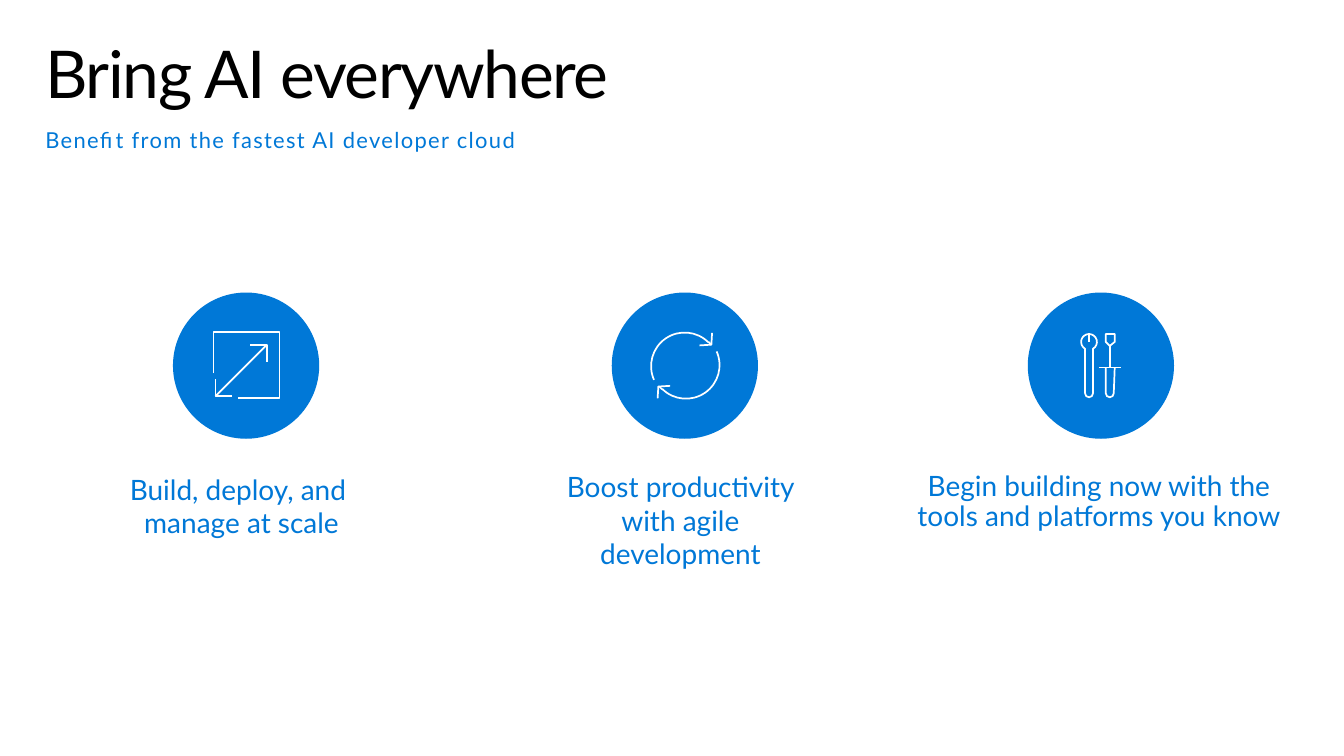
import math
import pptx
import pptx.dml.color
import pptx.enum.shapes
import pptx.enum.text
import pptx.oxml.ns
import pptx.util
from lxml import etree

Inches = pptx.util.Inches
Pt = pptx.util.Pt
RGBColor = pptx.dml.color.RGBColor
ALIGN = pptx.enum.text.PP_ALIGN
FIT = pptx.enum.text.MSO_AUTO_SIZE
qn = pptx.oxml.ns.qn

BLUE = RGBColor(0x00, 0x78, 0xD7)
BLACK = RGBColor(0x00, 0x00, 0x00)
WHITE = RGBColor(0xFF, 0xFF, 0xFF)
FONT = "Lato"
DISC = 1.48
DISC_TOP = 2.96
STROKE = Pt(1.25)


def add_text(slide, place, pads, lines, size, color, align=ALIGN.LEFT,
             leading=1.0, track=0, fit=FIT.SHAPE_TO_FIT_TEXT):
    frame = slide.shapes.add_textbox(*map(Inches, place)).text_frame
    frame.word_wrap = True
    frame.auto_size = fit
    (frame.margin_left, frame.margin_top,
     frame.margin_right, frame.margin_bottom) = map(Inches, pads)
    para = frame.paragraphs[0]
    para.alignment = align
    para.line_spacing = leading
    for index, line in enumerate(lines):
        if index:
            para.add_line_break()
        run = para.add_run()
        run.text = line
        run.font.name = FONT
        run.font.size = Pt(size)
        run.font.color.rgb = color
        if track:
            run._r.get_or_add_rPr().set("spc", str(track * 100))


def add_disc(slide, left):
    group = slide.shapes.add_group_shape()
    disc = group.shapes.add_shape(
        pptx.enum.shapes.MSO_SHAPE.OVAL,
        *map(Inches, (left, DISC_TOP, DISC, DISC)))
    disc.shadow.inherit = False
    disc.fill.solid()
    disc.fill.fore_color.rgb = BLUE
    disc.line.fill.background()
    return group


def bend(shape, steps):
    nodes = iter(list(shape._element.iter(qn("a:lnTo"))))
    for step in steps:
        node = next(nodes)
        if len(step) == 3:
            curve = etree.Element(qn("a:cubicBezTo"))
            node.addprevious(curve)
            for part in (node, next(nodes), next(nodes)):
                curve.append(part[0])
                part.getparent().remove(part)


def add_path(group, *strokes, turn=0):
    pen = None
    for stroke in strokes:
        dots = [(Inches(x), Inches(y)) for step in stroke for x, y in step]
        if pen:
            pen.move_to(*dots[0])
        else:
            pen = group.shapes.build_freeform(*dots[0])
        pen.add_line_segments(dots[1:], close=False)
    shape = pen.convert_to_shape()
    bend(shape, [step for stroke in strokes for step in stroke[1:]])
    shape.shadow.inherit = False
    shape.fill.background()
    shape.line.color.rgb = WHITE
    shape.line.width = STROKE
    shape.rotation = turn


def add_line(group, start, end):
    line = group.shapes.add_connector(
        pptx.enum.shapes.MSO_CONNECTOR.STRAIGHT,
        *map(Inches, (*start, *end)))
    line.line.color.rgb = WHITE
    line.line.width = STROKE
    etree.SubElement(line._element.spPr, qn("a:effectLst"))


def poly(*dots):
    return [(dot,) for dot in dots]


def arc(x, y, radius, start, end, count=2):
    sweep = math.radians(end - start) / count
    pull = 4 / 3 * math.tan(sweep / 4)

    def spot(angle, shift):
        return (x + radius * (math.cos(angle) - shift * math.sin(angle)),
                y + radius * (math.sin(angle) + shift * math.cos(angle)))

    first = math.radians(start)
    steps = [(spot(first, 0),)]
    for index in range(count):
        a = first + index * sweep
        b = a + sweep
        steps.append((spot(a, pull), spot(b, -pull), spot(b, 0)))
    return steps


def draw_scale(slide):
    group = add_disc(slide, 1.75)
    add_path(group, poly((2.16, 3.78), (2.16, 3.36), (2.83, 3.36),
                         (2.83, 4.03), (2.41, 4.03)))
    for x, y, turn in ((2.18, 4.01, 0), (2.53, 3.66, 180)):
        add_path(group, poly((x + 0.17, y), (x, y), (x, y - 0.17)),
                 turn=turn)
    add_line(group, (2.18, 4.01), (2.7, 3.49))


def draw_cycle(slide):
    group = add_disc(slide, 6.19)
    add_path(group, arc(6.88, 3.82, 0.34, -69, 90), turn=45)
    add_path(group, arc(6.99, 3.58, 0.34, 111, 270), turn=45)
    add_line(group, (6.97, 3.66), (6.97, 3.66))
    add_path(group, poly((7.13, 3.55), (7.21, 3.46), (7.13, 3.37)), turn=45)
    add_line(group, (7.17, 3.46), (7.2, 3.49))
    add_path(group, poly((6.73, 3.85), (6.65, 3.94), (6.73, 4.03)), turn=45)
    add_line(group, (6.7, 3.94), (6.67, 3.91))


def draw_tools(slide):
    group = add_disc(slide, 10.4)
    head = arc(11.02, 3.46, 0.08, 120, 420, 4)
    foot = arc(11.02, 3.98, 0.04, 0, 180)
    wrench = head + foot + head[:1]
    grip = [*poly((11.28, 3.72)), *arc(11.23, 3.98, 0.04, 0, 180),
            *poly((11.19, 3.72))]
    tip = poly((11.28, 3.38), (11.19, 3.38), (11.19, 3.46), (11.23, 3.5),
               (11.28, 3.46), (11.28, 3.38))
    add_path(group, wrench, grip,
             poly((11.02, 3.37), (11.02, 3.46)),
             poly((11.12, 3.72), (11.34, 3.72)),
             poly((11.23, 3.72), (11.23, 3.5)), tip)


def main():
    deck = pptx.Presentation()
    deck.slide_width = Inches(13.6)
    deck.slide_height = Inches(7.65)
    slide = deck.slides.add_slide(deck.slide_layouts[6])

    add_text(slide, (0.3, 0.32, 13, 1), (0.16, 0.1, 0.16, 0.1),
             ["Bring AI everywhere"], 48, BLACK, leading=0.9, track=-1,
             fit=FIT.NONE)
    labels = (
        ((9.16, 4.62, 4.02, 0.96), 0.9,
         ["Begin building now with the tools and platforms you know"]),
        ((0.91, 4.62, 3.17, 1.03), 1.0,
         ["Build, deploy, and ", "manage at scale"]),
        ((5.36, 4.59, 3.15, 1.03), 1.0,
         ["Boost productivity with agile development"]),
    )
    for place, leading, lines in labels:
        add_text(slide, place, (0.1, 0.16, 0.2, 0.16), lines, 20.4, BLUE,
                 ALIGN.CENTER, leading)
    add_text(slide, (0.3, 1.23, 6.36, 0.37), (0.16, 0.05, 0.1, 0.05),
             ["Benefit from the fastest AI developer cloud"], 16, BLUE,
             track=1)

    draw_scale(slide)
    draw_tools(slide)
    draw_cycle(slide)
    deck.save("out.pptx")


if __name__ == "__main__":
    main()
